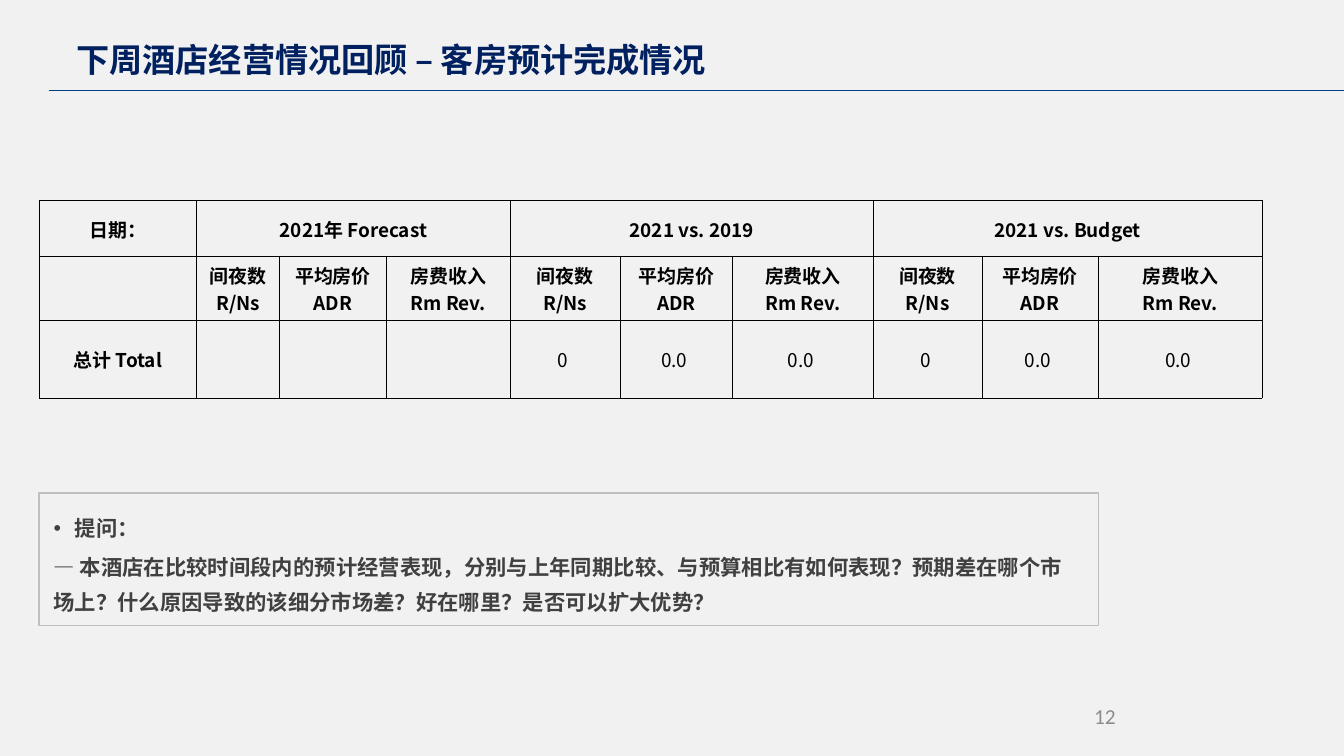
from lxml.etree import SubElement
from pptx import Presentation
from pptx.dml.color import RGBColor
from pptx.enum.shapes import MSO_CONNECTOR, MSO_SHAPE
from pptx.enum.text import MSO_ANCHOR, MSO_AUTO_SIZE, PP_ALIGN
from pptx.oxml.ns import qn
from pptx.util import Pt

COLORS = {
    "background": "F1F1F1",
    "rule": "004083",
    "title": "002060",
    "question": "404040",
    "frame": "BFBFBF",
    "number": "8C8C8C",
    "table": "000000",
}
CJK_FONT = "Noto Sans CJK SC"
COLUMN_WIDTHS = [133, 70, 90, 104.5, 93, 94.5, 119, 91.5, 98.5, 138]
ROW_HEIGHTS = [47.5, 54, 65.5]
GROUPS = ["2021年 Forecast", "2021 vs. 2019", "2021 vs. Budget"]
MEASURES = ["间夜数\vR/Ns", "平均房价\vADR", "房费收入\vRm Rev."]
VARIANCES = ["0 ", "0.0 ", "0.0 "]
QUESTION = (
    "— 本酒店在比较时间段内的预计经营表现，分别与上年同期比较、与预算相比有如何表现？"
    "预期差在哪个市场上？什么原因导致的该细分市场差？好在哪里？是否可以扩大优势？"
)


def color(name):
    """Return the named colour."""
    return RGBColor.from_string(COLORS[name])


def place(shape, left, top, width, height):
    """Set a shape's position and size in points."""
    shape.left, shape.top = Pt(left), Pt(top)
    shape.width, shape.height = Pt(width), Pt(height)


def style_paragraph(paragraph, size, color_name, align, bold=True, typeface=CJK_FONT):
    """Format a whole paragraph, East Asian font included."""
    paragraph.alignment = align
    font = paragraph.font
    font.size, font.bold, font.name = Pt(size), bold, typeface
    font.color.rgb = color(color_name)
    defaults = paragraph._p.get_or_add_pPr().find(qn("a:defRPr"))
    SubElement(defaults, qn("a:ea"), typeface=typeface)


def prepare_frame(text_frame, horizontal=0, vertical=0):
    """Set wrapping, top anchor and insets of a text frame."""
    text_frame.word_wrap = True
    text_frame.auto_size = MSO_AUTO_SIZE.NONE
    text_frame.vertical_anchor = MSO_ANCHOR.TOP
    text_frame.margin_left = text_frame.margin_right = Pt(horizontal)
    text_frame.margin_top = text_frame.margin_bottom = Pt(vertical)


def add_title(slide):
    """Fill the title placeholder and draw the rule below it."""
    title = slide.shapes.title
    place(title, 64.5, 33, 563, 35)
    prepare_frame(title.text_frame)
    heading = title.text_frame.paragraphs[0]
    heading.text = "下周酒店经营情况回顾 – 客房预计完成情况"
    style_paragraph(heading, 28, "title", PP_ALIGN.LEFT)
    rule = slide.shapes.add_connector(
        MSO_CONNECTOR.STRAIGHT, Pt(41), Pt(76.5), Pt(1134), Pt(76.5))
    rule.line.color.rgb = color("rule")
    rule.line.width = Pt(0.6)
    SubElement(rule._element.spPr, qn("a:effectLst"))


def add_question(slide):
    """Draw the question frame and fill the body placeholder."""
    frame = slide.shapes.add_shape(
        MSO_SHAPE.RECTANGLE, Pt(33), Pt(416), Pt(894), Pt(112))
    frame.shadow.inherit = False
    frame.fill.background()
    frame.line.color.rgb = color("frame")
    frame.line.width = Pt(1)

    body = slide.placeholders[1]
    place(body, 20, 422.5, 883.5, 99.5)
    prepare_frame(body.text_frame, 7.2, 3.6)
    lines = [("提问：", 36, -18, "•"), (QUESTION, 18, 0, None)]
    body.text_frame.text = "\n".join(line[0] for line in lines)
    for paragraph, (_, margin, indent, bullet) in zip(body.text_frame.paragraphs, lines):
        paragraph.line_spacing = Pt(30)
        paragraph.space_before, paragraph.space_after = Pt(0), Pt(3)
        properties = paragraph._p.get_or_add_pPr()
        properties.set("marL", str(Pt(margin)))
        properties.set("indent", str(Pt(indent)))
        if bullet:
            SubElement(properties, qn("a:buChar"), char=bullet)
        else:
            SubElement(properties, qn("a:buNone"))
        style_paragraph(paragraph, 18, "question", PP_ALIGN.JUSTIFY)


def style_cell(cell, bold):
    """Give a cell its borders, insets and text format."""
    properties = cell._tc.get_or_add_tcPr()
    for side in ("lnL", "lnR", "lnT", "lnB"):
        border = SubElement(properties, qn(f"a:{side}"), w=str(Pt(0.5)))
        fill = SubElement(border, qn("a:solidFill"))
        SubElement(fill, qn("a:srgbClr"), val=COLORS["table"])
    cell.fill.background()
    cell.vertical_anchor = MSO_ANCHOR.MIDDLE
    cell.margin_left = cell.margin_right = cell.margin_top = Pt(0.7)
    cell.margin_bottom = Pt(0)
    style_paragraph(cell.text_frame.paragraphs[0], 16, "table", PP_ALIGN.CENTER, bold)


def add_forecast_table(slide):
    """Add the room forecast table with three merged group headings."""
    group_row = ["日期："]
    for group in GROUPS:
        group_row += [group, "", ""]
    rows = [
        group_row,
        [""] + MEASURES * 3,
        ["总计 Total", "", "", ""] + VARIANCES * 2,
    ]
    table = slide.shapes.add_table(
        len(rows), len(COLUMN_WIDTHS), Pt(33), Pt(169),
        Pt(sum(COLUMN_WIDTHS)), Pt(sum(ROW_HEIGHTS))).table
    table.first_row = table.horz_banding = False
    for column, width in zip(table.columns, COLUMN_WIDTHS):
        column.width = Pt(width)
    for row, height in zip(table.rows, ROW_HEIGHTS):
        row.height = Pt(height)
    for row_index, row in enumerate(rows):
        for column_index, label in enumerate(row):
            cell = table.cell(row_index, column_index)
            cell.text_frame.paragraphs[0].text = label
            style_cell(cell, bold=label not in VARIANCES)
    for first in (1, 4, 7):
        table.cell(0, first).merge(table.cell(0, first + 2))


def add_page_number(slide):
    """Add the page number at the lower right."""
    number = slide.shapes.add_textbox(Pt(681), Pt(593.5), Pt(260.5), Pt(22))
    prepare_frame(number.text_frame)
    paragraph = number.text_frame.paragraphs[0]
    paragraph.text = "12"
    style_paragraph(paragraph, 18, "number", PP_ALIGN.RIGHT, False, "Calibri")


def main():
    """Build and save the slide."""
    presentation = Presentation()
    presentation.slide_width, presentation.slide_height = Pt(1134), Pt(638)
    slide = presentation.slides.add_slide(presentation.slide_layouts[1])
    slide.background.fill.solid()
    slide.background.fill.fore_color.rgb = color("background")
    add_title(slide)
    add_question(slide)
    add_forecast_table(slide)
    add_page_number(slide)
    presentation.save("out.pptx")


if __name__ == "__main__":
    main()
